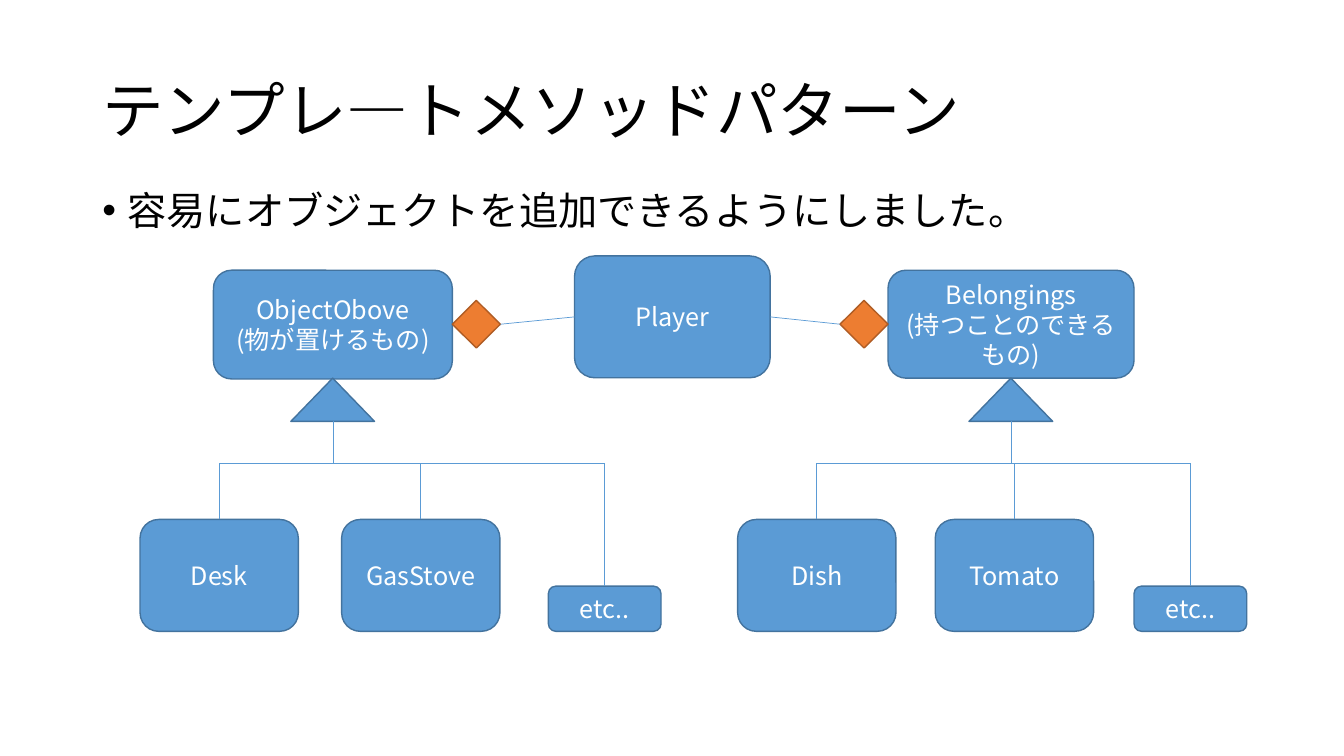
from dataclasses import dataclass
from typing import NamedTuple

from lxml import etree
from pptx import Presentation
from pptx.dml.color import RGBColor
from pptx.enum.shapes import MSO_CONNECTOR, MSO_SHAPE
from pptx.enum.text import MSO_ANCHOR, PP_ALIGN
from pptx.oxml.ns import qn
from pptx.util import Cm, Pt

ROUNDED = MSO_SHAPE.ROUNDED_RECTANGLE
DIAMOND = MSO_SHAPE.DIAMOND
TRIANGLE = MSO_SHAPE.ISOSCELES_TRIANGLE
STRAIGHT = MSO_CONNECTOR.STRAIGHT
MIDDLE, TOP = MSO_ANCHOR.MIDDLE, MSO_ANCHOR.TOP
LEFT, CENTER = PP_ALIGN.LEFT, PP_ALIGN.CENTER


@dataclass(frozen=True)
class Theme:
    font: str = "Noto Sans CJK JP"
    ink: str = "000000"
    paper: str = "FFFFFF"
    class_fill: str = "5B9BD5"
    class_edge: str = "43739E"
    owner_fill: str = "ED7D31"
    owner_edge: str = "AF5C24"
    title_size: float = 44
    body_size: float = 28
    label_size: float = 18
    edge_width: float = 1
    link_width: float = 0.5


THEME = Theme()


class Box(NamedTuple):
    """A rectangle in centimetres."""
    x: float
    y: float
    w: float
    h: float

    @property
    def right(self):
        return self.x + self.w

    @property
    def bottom(self):
        return self.y + self.h

    @property
    def center(self):
        return self.x + self.w / 2

    @property
    def middle(self):
        return self.y + self.h / 2

    def lengths(self):
        return [Cm(value) for value in self]


def add_run(paragraph, text, size, color):
    run = paragraph.add_run()
    run.text = text
    run.font.name = THEME.font
    run.font.size = Pt(size)
    run.font.color.rgb = RGBColor.from_string(color)
    east_asian = etree.SubElement(run.font._element, qn("a:ea"))
    east_asian.set("typeface", THEME.font)


def add_text(slide, box, text, size, anchor):
    """Add a left-aligned text box and return its paragraph."""
    frame = slide.shapes.add_textbox(*box.lengths()).text_frame
    frame.word_wrap = True
    frame.vertical_anchor = anchor
    paragraph = frame.paragraphs[0]
    paragraph.alignment = LEFT
    paragraph.line_spacing = 0.9
    add_run(paragraph, text, size, THEME.ink)
    return paragraph


def add_bullet(paragraph, indent):
    properties = paragraph._p.get_or_add_pPr()
    properties.set("marL", str(indent))
    properties.set("indent", str(-indent))
    etree.SubElement(properties, qn("a:buFont")).set("typeface", "Arial")
    etree.SubElement(properties, qn("a:buChar")).set("char", "•")


def add_node(slide, kind, box, fill, edge, lines=()):
    node = slide.shapes.add_shape(kind, *box.lengths())
    node.shadow.inherit = False
    node.fill.solid()
    node.fill.fore_color.rgb = RGBColor.from_string(fill)
    node.line.color.rgb = RGBColor.from_string(edge)
    node.line.width = Pt(THEME.edge_width)
    frame = node.text_frame
    frame.word_wrap = True
    frame.vertical_anchor = MIDDLE
    for index, line in enumerate(lines):
        paragraph = frame.add_paragraph() if index else frame.paragraphs[0]
        paragraph.alignment = CENTER
        add_run(paragraph, line, THEME.label_size, THEME.paper)


def add_class(slide, box, *lines):
    add_node(slide, ROUNDED, box, THEME.class_fill, THEME.class_edge, lines)


def add_link(slide, x1, y1, x2, y2):
    link = slide.shapes.add_connector(STRAIGHT, Cm(x1), Cm(y1), Cm(x2), Cm(y2))
    link.line.color.rgb = RGBColor.from_string(THEME.class_fill)
    link.line.width = Pt(THEME.link_width)
    etree.SubElement(link._element.spPr, qn("a:effectLst"))


def add_heading(slide, box):
    title = Box(box.x, box.y, box.w, 3.68)
    body = Box(box.x, title.bottom, box.w, box.h - title.h)
    add_text(slide, title, "テンプレ―トメソッドパターン", THEME.title_size, MIDDLE)
    message = add_text(slide, body, "容易にオブジェクトを追加できるようにしました。",
                       THEME.body_size, TOP)
    message.space_before = Pt(10)
    add_bullet(message, Cm(0.64))


def add_inheritance(slide, parent, parent_lines, children):
    """Draw a parent class, its triangle and the bus down to its children."""
    add_class(slide, parent, *parent_lines)
    arrow = Box(parent.center - 1.06, 9.53, 2.11, 1.09)
    add_node(slide, TRIANGLE, arrow, THEME.class_fill, THEME.class_edge)
    bus = arrow.bottom + 1.05
    add_link(slide, parent.center, arrow.bottom, parent.center, bus)
    for name, child in children.items():
        add_class(slide, child, name)
        add_link(slide, child.center, child.y, child.center, bus)
    centers = [child.center for child in children.values()]
    add_link(slide, min(centers), bus, max(centers), bus)


def add_ownership(slide, player, player_edge, diamond_x):
    """Link the player to the diamond of a class it is held by."""
    diamond = Box(diamond_x, 7.57, 1.21, 1.2)
    add_node(slide, DIAMOND, diamond, THEME.owner_fill, THEME.owner_edge)
    tip = diamond.right if diamond.x < player.x else diamond.x
    add_link(slide, tip, diamond.middle, player_edge, player.middle)


def add_class_diagram(slide, box):
    def child(x):
        return Box(box.x + x, box.bottom - 2.82, 3.99, 2.82)

    def others(x):
        return Box(box.x + x, box.bottom - 1.14, 2.84, 1.14)

    player = Box(box.x + 10.95, box.y, 4.93, 3.07)
    holder = Box(box.x + 1.85, box.y + 0.36, 6.02, 2.74)
    belongings = Box(box.x + 18.85, box.y + 0.36, 6.2, 2.72)
    add_class(slide, player, "Player")
    add_inheritance(slide, holder, ["ObjectObove", "(物が置けるもの)"],
                    {"Desk": child(0), "GasStove": child(5.08),
                     "etc..": others(10.29)})
    add_inheritance(slide, belongings, ["Belongings", "(持つことのできるもの)"],
                    {"Dish": child(15.06), "Tomato": child(20.04),
                     "etc..": others(25.05)})
    add_ownership(slide, player, player.x, holder.right)
    add_ownership(slide, player, player.right, belongings.x - 1.21)


def main():
    deck = Presentation()
    deck.slide_width, deck.slide_height = Cm(33.87), Cm(19.05)
    slide = deck.slides.add_slide(deck.slide_layouts[6])
    add_heading(slide, Box(2.33, 1.02, 29.21, 16.46))
    add_class_diagram(slide, Box(3.53, 6.45, 28.12, 9.46))
    deck.save("out.pptx")


if __name__ == "__main__":
    main()
